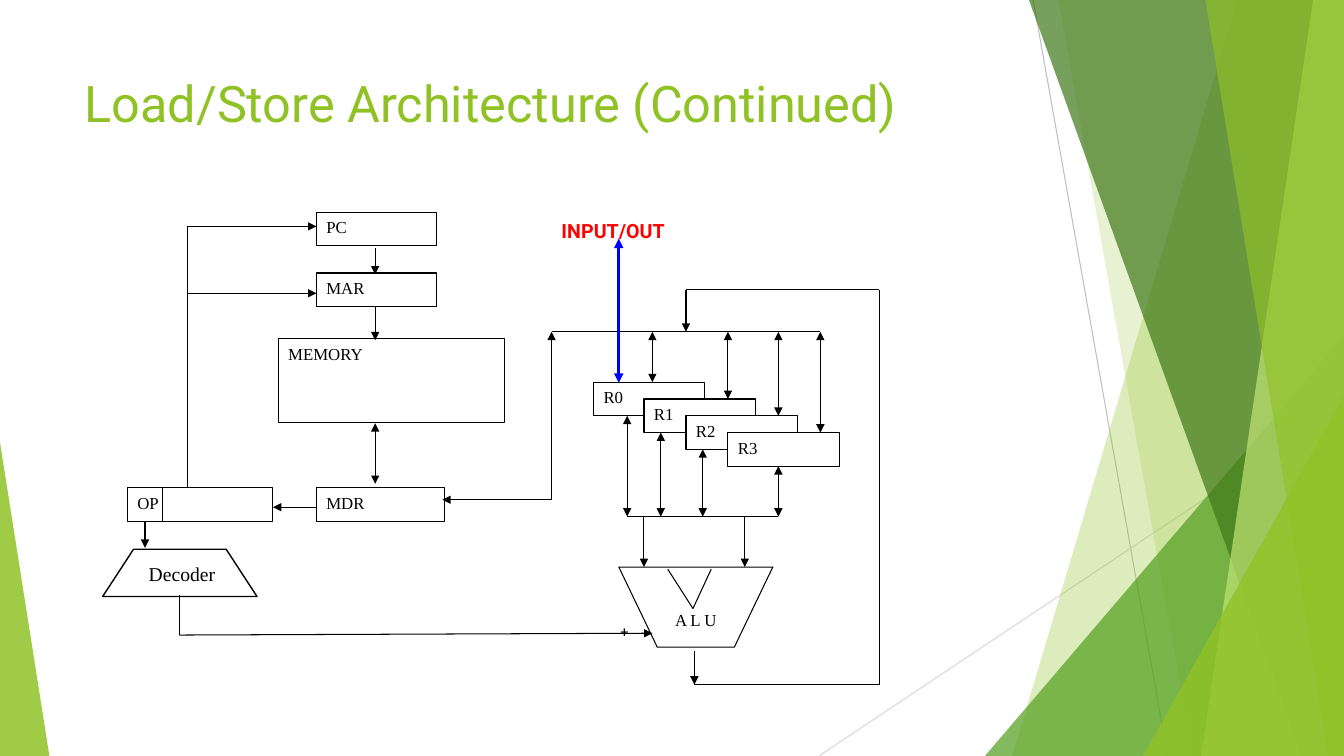
import pptx
import pptx.util
import pptx.dml.color
import pptx.enum.shapes
import pptx.enum.text
import pptx.oxml
import pptx.oxml.ns

Pt = pptx.util.Pt
SHAPE = pptx.enum.shapes.MSO_SHAPE
ALIGN = pptx.enum.text.PP_ALIGN
ANCHOR = pptx.enum.text.MSO_ANCHOR
COLORS = {
    "white": "FFFFFF", "black": "000000", "red": "FF0000", "blue": "0000FF",
    "lime": "90C226", "green": "54A021", "forest": "3F7819", "pale": "C0E474",
    "gray": "BFBFBF", "silver": "D9D9D9",
}


class Diagram:
    serif = "Times New Roman"
    sans = "Roboto"
    stroke = 0.74

    def __init__(self, slide):
        self.slide = slide
        self.shapes = slide.shapes

    def color(self, name):
        return pptx.dml.color.RGBColor.from_string(COLORS[name])

    def add_mark(self, parent, tag, **attributes):
        child = pptx.oxml.parse_xml(f"<a:{tag} {pptx.oxml.ns.nsdecls('a')}/>")
        for key, value in attributes.items():
            child.set(key, value)
        parent.append(child)

    def paint(self, shape, fill, opacity=100, stroke=None):
        shape.shadow.inherit = False
        shape.fill.solid()
        shape.fill.fore_color.rgb = self.color(fill)
        if opacity < 100:
            rgb = shape._element.spPr.find(".//" + pptx.oxml.ns.qn("a:srgbClr"))
            self.add_mark(rgb, "alpha", val=str(opacity * 1000))
        if stroke:
            shape.line.color.rgb = self.color("black")
            shape.line.width = Pt(stroke)
        else:
            shape.line.fill.background()
        return shape

    def caption(self, shape, text, size=12, font=serif, color="black", bold=False,
                align=ALIGN.LEFT, anchor=ANCHOR.TOP, top=3.6, wrap=True):
        frame = shape.text_frame
        frame.auto_size = pptx.enum.text.MSO_AUTO_SIZE.NONE
        frame.word_wrap = wrap
        frame.vertical_anchor = anchor
        frame.margin_left = frame.margin_right = Pt(7.2)
        frame.margin_top, frame.margin_bottom = Pt(top), Pt(3.6)
        paragraph = frame.paragraphs[0]
        paragraph.alignment = align
        run = paragraph.add_run()
        run.text = text
        run.font.name, run.font.size, run.font.bold = font, Pt(size), bold
        run.font.color.rgb = self.color(color)
        return run

    def title(self, text, *box):
        heading = self.shapes.title
        heading.left, heading.top, heading.width, heading.height = map(Pt, box)
        self.caption(heading, text, 36, self.sans, "lime")

    def preset(self, kind, box, fill="white", opacity=100, stroke=None):
        return self.paint(self.shapes.add_shape(kind, *map(Pt, box)), fill, opacity, stroke)

    def polygon(self, points, fill="white", opacity=100, stroke=None):
        corners = [(Pt(x), Pt(y)) for x, y in points]
        builder = self.shapes.build_freeform(*corners[0])
        builder.add_line_segments(corners[1:], close=True)
        return self.paint(builder.convert_to_shape(), fill, opacity, stroke)

    def register(self, text, *box):
        self.caption(self.preset(SHAPE.RECTANGLE, box, stroke=self.stroke), text)

    def label(self, text, box, **style):
        return self.caption(self.shapes.add_textbox(*map(Pt, box)), text, **style)

    def wire(self, x1, y1, x2, y2, arrows="", color="black", width=stroke):
        wire = self.shapes.add_connector(
            pptx.enum.shapes.MSO_CONNECTOR.STRAIGHT, *map(Pt, (x1, y1, x2, y2)))
        wire.line.color.rgb = self.color(color)
        wire.line.width = Pt(width)
        properties = wire._element.spPr
        outline = properties.find(pptx.oxml.ns.qn("a:ln"))
        for mark, tag in (("<", "headEnd"), (">", "tailEnd")):
            if mark in arrows:
                self.add_mark(outline, tag, type="triangle")
        self.add_mark(properties, "effectLst")


deck = pptx.Presentation()
deck.slide_width, deck.slide_height = Pt(960), Pt(540)
diagram = Diagram(deck.slides.add_slide(deck.slide_layouts[5]))


def facet(top_x, bottom_x, fill, opacity):
    diagram.polygon([(top_x, 0), (960, 0), (960, 540), (bottom_x, 540)], fill, opacity)


def wedge(box, apex, fill, opacity):
    diagram.preset(SHAPE.ISOSCELES_TRIANGLE, box, fill, opacity).adjustments[0] = apex


diagram.wire(738, 0, 834, 540, color="gray", width=0.75)
diagram.wire(960, 290, 585, 540, color="silver", width=0.75)
facet(884, 723, "lime", 30)
facet(756, 852, "lime", 20)
wedge((703.5, 240, 256.5, 300), 1, "green", 72)
facet(735, 930, "forest", 70)
facet(938, 858, "pale", 70)
facet(861, 949, "lime", 65)
wedge((816.5, 283, 143.5, 257), 1, "lime", 80)
wedge((0, 316, 35.3, 224), 0, "lime", 85)

diagram.title("Load/Store Architecture (Continued)", 53.3, 48, 677, 104)

for name, *box in [
    ("PC", 226, 151.5, 86, 24),
    ("MAR", 226, 195, 86, 24),
    ("MEMORY", 198.7, 241.7, 162, 60),
    ("MDR", 226, 348.3, 91.5, 24),
    ("OP", 91, 348.3, 104, 24),
]:
    diagram.register(name, *box)

bus_y, alu_bus_y = 237, 369
register_lefts = [424, 460, 490, 520]
upper_links = [466, 520, 556, 586]
lower_links = [448, 472, 502, 556]
for index, (left, upper, lower) in enumerate(zip(register_lefts, upper_links, lower_links)):
    top = 273 + 12 * index
    diagram.register(f"R{index}", left, top, 79.5, 24)
    diagram.wire(upper, bus_y, upper, top, "<>")
    diagram.wire(lower, top + 24, lower, alu_bus_y, "<>")

alu = diagram.polygon([(442, 405), (469.5, 462.3), (524.5, 462.3), (552, 405)],
                      stroke=diagram.stroke)
diagram.caption(alu, "A L U", align=ALIGN.CENTER, top=30.5)
decoder = diagram.preset(SHAPE.FLOWCHART_MANUAL_OPERATION, (73.3, 392.3, 110.3, 33.8), stroke=1)
decoder.rotation = 180
diagram.label("Decoder", (97, 398, 66, 24), size=14, align=ALIGN.CENTER,
              anchor=ANCHOR.MIDDLE, wrap=False)
plus = diagram.label("+", (436, 429, 20, 32), size=18, font=diagram.sans, wrap=False)
plus.font._element.set("baseline", "-25000")
diagram.label("INPUT/OUT", (394, 152.6, 90, 24.5), size=14, font=diagram.sans,
              color="red", bold=True, wrap=False)

for wire in [
    (268, 177, 268, 196, ">"),
    (268, 219, 268, 243, ">"),
    (268, 345.6, 268, 302.4, "<>"),
    (134.2, 348.3, 134.2, 161.7),
    (134.2, 161.7, 226, 161.7, ">"),
    (134.2, 209.5, 226, 209.5, ">"),
    (226, 362.3, 195, 362.3, ">"),
    (116, 348.3, 116, 372.3),
    (103.6, 372.3, 103.6, 391.3, ">"),
    (128.2, 425, 128.2, 453.6),
    (128.2, 453.6, 466, 452.3, ">"),
    (316, 357, 394, 357, "<"),
    (394, 357, 394, bus_y, ">"),
    (394, bus_y, 586, bus_y),
    (448, alu_bus_y, 556, alu_bus_y),
    (460, alu_bus_y, 460, 405, ">"),
    (532, alu_bus_y, 532, 405, ">"),
    (477, 406.6, 495, 434.7),
    (508, 406.6, 495, 434.7),
    (496, 465, 496, 489, ">"),
    (496, 489, 628, 489),
    (628, 489, 628, 207),
    (628, 207, 490, 207),
    (490, 207, 490, bus_y, ">"),
    (442, 273.5, 442, 170.5, "<>", "blue", 2.24),
]:
    diagram.wire(*wire)

deck.save("out.pptx")
